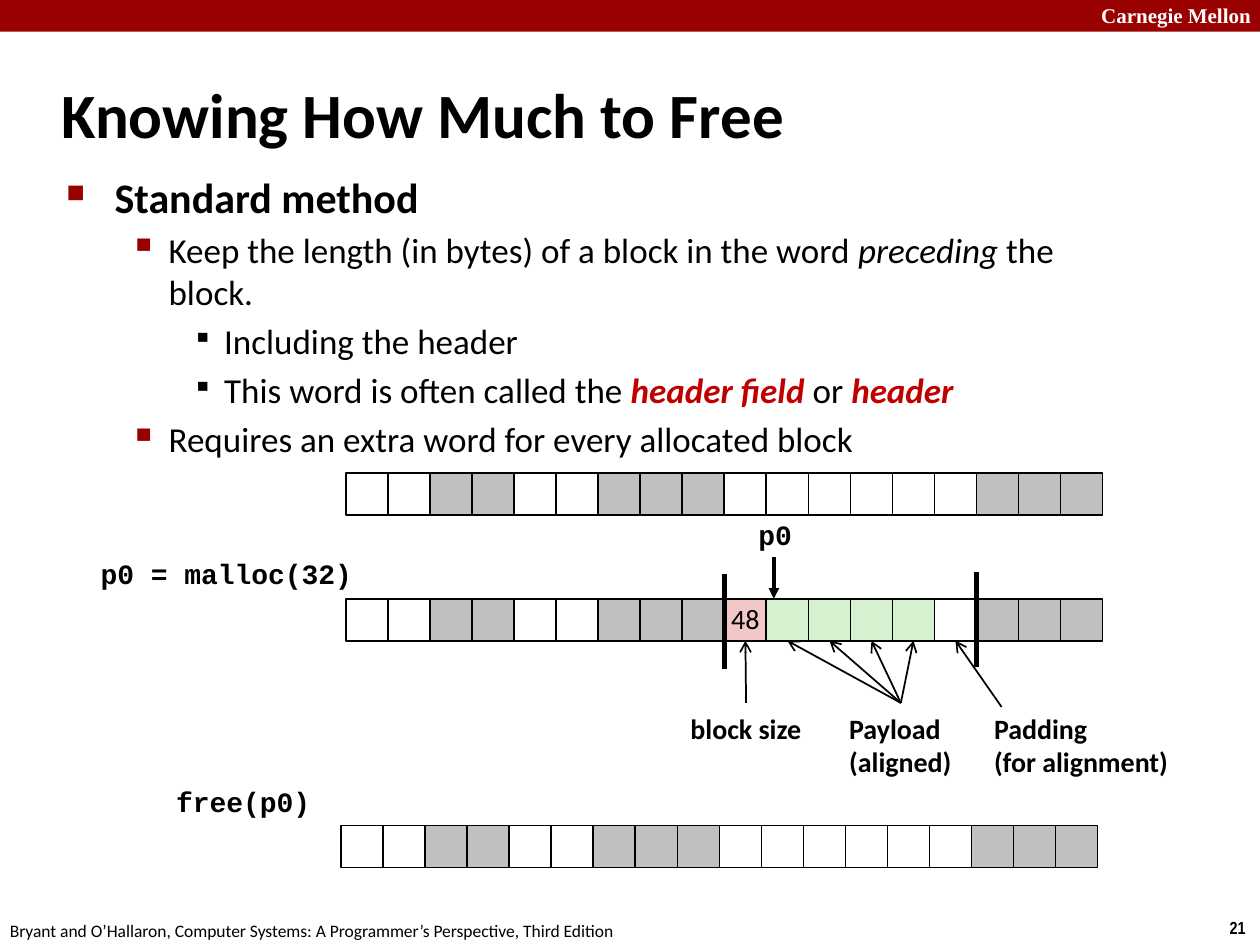
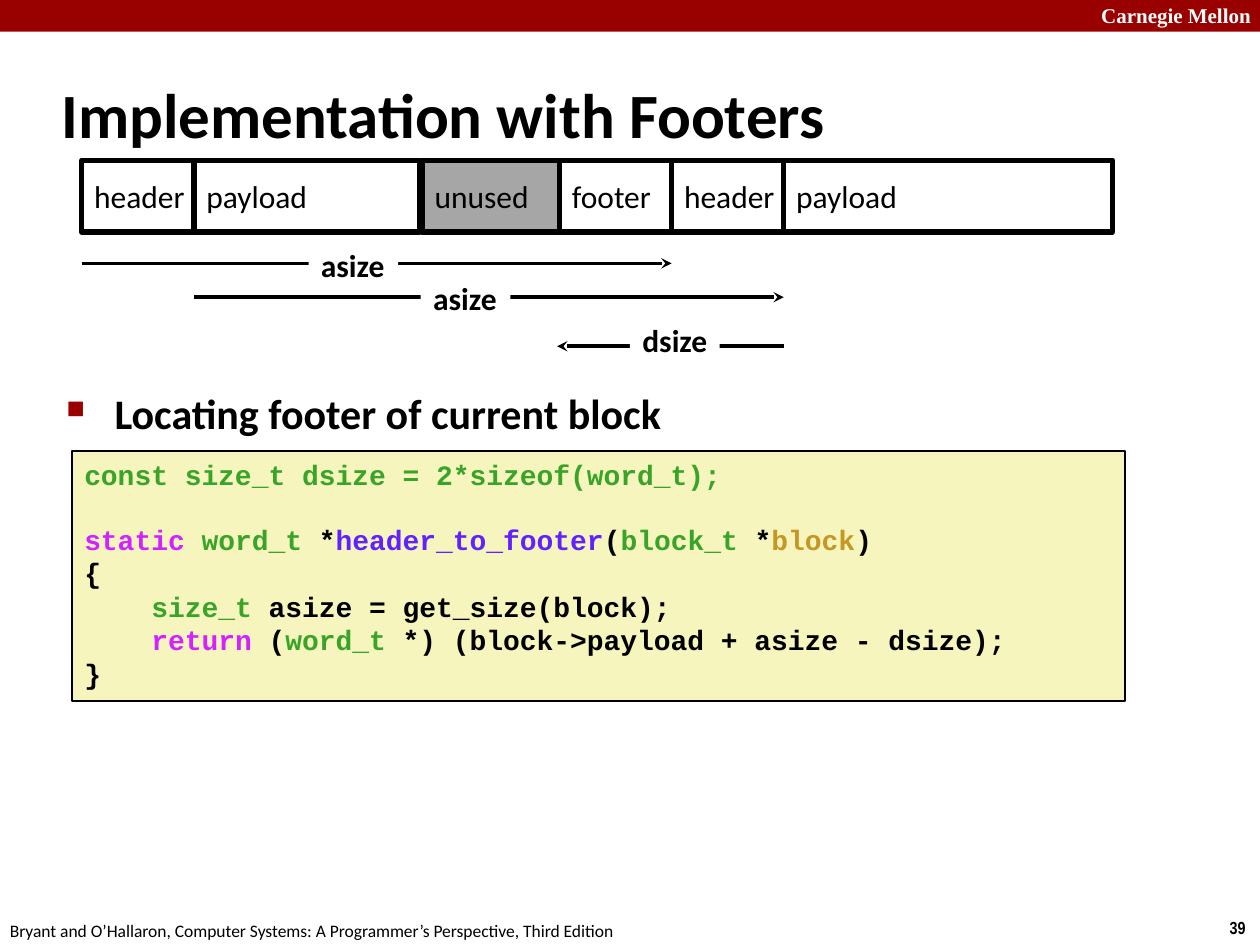
from lxml import etree
from pptx import Presentation
from pptx.dml.color import RGBColor
from pptx.enum.shapes import MSO_CONNECTOR, MSO_SHAPE
from pptx.enum.text import MSO_ANCHOR, PP_ALIGN
from pptx.oxml.ns import qn
from pptx.util import Cm, Pt

STRAIGHT = MSO_CONNECTOR.STRAIGHT
RECTANGLE = MSO_SHAPE.RECTANGLE
TOP, MIDDLE = MSO_ANCHOR.TOP, MSO_ANCHOR.MIDDLE
LEFT, CENTER = PP_ALIGN.LEFT, PP_ALIGN.CENTER

BLACK = RGBColor(0x00, 0x00, 0x00)
WHITE = RGBColor(0xFF, 0xFF, 0xFF)
DARK_RED = RGBColor(0x99, 0x00, 0x00)
TERM_RED = RGBColor(0xC0, 0x00, 0x00)
CELL_GREY = RGBColor(0xC0, 0xC0, 0xC0)
UNUSED_GREY = RGBColor(0xA6, 0xA6, 0xA6)
HEADER_PINK = RGBColor(0xF1, 0xC7, 0xC7)
PAYLOAD_GREEN = RGBColor(0xD5, 0xF1, 0xCF)
CODE_YELLOW = RGBColor(0xF6, 0xF5, 0xBD)
TYPE_GREEN = RGBColor(0x39, 0xA4, 0x28)
KEYWORD_MAGENTA = RGBColor(0xD4, 0x22, 0xFF)
FUNCTION_BLUE = RGBColor(0x61, 0x22, 0xFF)
VARIABLE_GOLD = RGBColor(0xC7, 0x97, 0x25)

SANS, MONO, SERIF, NARROW = "Calibri", "Courier New", "Times New Roman", "Arial Narrow"

# ---- Content: all lengths in centimetres ----
BRAND = "Carnegie Mellon"
SOURCE = "Bryant and O’Hallaron, Computer Systems: A Programmer’s Perspective, Third Edition"

# Run styles: what a run changes in its paragraph
RUN_STYLES = {
    "emphasis": {"italic": True},
    "term": {"italic": True, "bold": True, "color": TERM_RED},
    "type": {"color": TYPE_GREEN},
    "keyword": {"color": KEYWORD_MAGENTA},
    "function": {"color": FUNCTION_BLUE},
    "variable": {"color": VARIABLE_GOLD},
}

# Bullet levels: margin, hanging, character, percent, colour, size, bold
LEVELS = [
    (0.97, 0.97, "■", 60, DARK_RED, 24, True),
    (2.06, 0.79, "▪", 110, DARK_RED, 20, False),
    (3.18, 0.64, "▪", 80, BLACK, 20, False),
]

METHOD_BULLETS = [
    (0, ["Standard method"]),
    (1, ["Keep the length (in bytes) of a block in the word ",
         ("preceding", "emphasis"), " the block."]),
    (2, ["Including the header"]),
    (2, ["This word is often called the ", ("header field ", "term"),
         "or ", ("header", "term")]),
    (1, ["Requires an extra word for every allocated block"]),
]
FOOTER_BULLETS = [(0, ["Locating footer of current block"])]

# Heap rows: left, top, one letter a word
CELL = 0.847
CELL_FILLS = {".": WHITE, "#": CELL_GREY, "H": HEADER_PINK, "P": PAYLOAD_GREEN}
HEAP_LEFT, MALLOC_TOP = 6.98, 12.07
FREE_HEAP = "..##..###......###"
MALLOC_HEAP = "..##..###HPPPP.###"
HEAP_ROWS = [
    (HEAP_LEFT, 9.53, FREE_HEAP),
    (HEAP_LEFT, MALLOC_TOP, MALLOC_HEAP),
    (6.88, 16.64, FREE_HEAP),
]
HEADER_CELL = MALLOC_HEAP.index("H")
PADDING_CELL = MALLOC_HEAP.rindex(".")

# Labels: left, top, width, height, font, line spacing, lines
HEAP_LABELS = [
    (1.78, 11.15, 5.64, 0.91, MONO, 0.94, ["p0 = malloc(32)"]),
    (15.04, 10.36, 1.19, 0.89, MONO, 0.94, ["p0"]),
    (3.3, 15.75, 3.25, 0.91, MONO, 0.94, ["free(p0)"]),
    (13.67, 14.25, 2.77, 0.94, SANS, 0.98, ["block size"]),
    (16.87, 14.25, 2.59, 1.6, SANS, 0.98, ["Payload", "(aligned)"]),
    (19.79, 14.25, 4.06, 1.6, SANS, 0.98, ["Padding", "(for alignment)"]),
]
# Annotation arrows: start point, cells pointed at
CELL_ARROWS = [
    ((15.04, 14.17), [HEADER_CELL]),
    ((18.16, 14.17), range(HEADER_CELL + 1, PADDING_CELL)),
    ((20.19, 14.25), [PADDING_CELL]),
]

# Block layout: name, left edge, width, fill
FIELD_TOP, FIELD_HEIGHT = 3.23, 1.45
FIELDS = [
    ("header", 1.65, 2.26, None),
    ("payload", 3.91, 4.55, None),
    ("header", 13.54, 2.26, None),
    ("payload", 15.8, 6.63, None),
    ("unused", 8.51, 2.77, UNUSED_GREY),
    ("footer", 11.28, 2.26, None),
]
# Size arrows: name, from x, to x, y, label left, label top
SIZE_ARROWS = [
    ("asize", 3.91, 15.8, 5.99, 8.48, 5.51),
    ("dsize", 15.8, 11.23, 6.98, 12.7, 6.35),
    ("asize", 1.65, 13.54, 5.31, 6.22, 4.83),
]

# Code lines: space before in points, runs
CODE = [
    (0, [("const size_t dsize = 2*sizeof(word_t);", "type")]),
    (18, [("static ", "keyword"), ("word_t", "type"), " *",
          ("header_to_footer", "function"), "(", ("block_t", "type"), " *",
          ("block", "variable"), ")"]),
    (0, ["{"]),
    (0, ["    ", ("size_t ", "type"), "asize = get_size(block);"]),
    (0, ["    ", ("return", "keyword"), " (", ("word_t", "type"),
         " *) (block->payload + asize - dsize);"]),
    (0, ["}"]),
]


# ---- Helpers ----
def style_font(font, name=None, size=None, bold=None, italic=None, color=None):
    if name:
        font.name = name
    if size:
        font.size = Pt(size)
    if bold is not None:
        font.bold = bold
    if italic is not None:
        font.italic = italic
    if color is not None:
        font.color.rgb = color


def add_bullet(paragraph, margin, hanging, character, percent, color):
    properties = paragraph._p.get_or_add_pPr()
    properties.set("marL", str(Cm(margin)))
    properties.set("indent", str(-Cm(hanging)))
    bullet_color = etree.SubElement(properties, qn("a:buClr"))
    etree.SubElement(bullet_color, qn("a:srgbClr"), val=str(color))
    etree.SubElement(properties, qn("a:buSzPct"), val=str(percent * 1000))
    etree.SubElement(properties, qn("a:buChar"), char=character)


def fill_paragraph(paragraph, runs, **font):
    style_font(paragraph.font, **{"name": SANS, "color": BLACK, **font})
    for item in runs:
        text, style = (item, None) if isinstance(item, str) else item
        run = paragraph.add_run()
        run.text = text
        if style:
            style_font(run.font, **RUN_STYLES[style])


def paragraphs_for(frame, items):
    """Pair each item with a paragraph of the frame."""
    for index, item in enumerate(items):
        yield frame.paragraphs[0] if index == 0 else frame.add_paragraph(), item


def write_lines(shape, lines, wrap=False, anchor=TOP, align=LEFT, spacing=None, **font):
    frame = shape.text_frame
    frame.word_wrap = wrap
    frame.vertical_anchor = anchor
    for paragraph, line in paragraphs_for(frame, lines):
        paragraph.alignment = align
        if spacing:
            paragraph.line_spacing = spacing
        fill_paragraph(paragraph, [line], **font)


def add_textbox(slide, box):
    return slide.shapes.add_textbox(*map(Cm, box))


def add_rectangle(slide, box, fill=None, line_width=None):
    shape = slide.shapes.add_shape(RECTANGLE, *map(Cm, box))
    shape.shadow.inherit = False
    if fill is None:
        shape.fill.background()
    else:
        shape.fill.solid()
        shape.fill.fore_color.rgb = fill
    if line_width is None:
        shape.line.fill.background()
    else:
        shape.line.color.rgb = BLACK
        shape.line.width = Pt(line_width)
    return shape


def add_line(slide, start, end, width, arrowhead=None):
    line = slide.shapes.add_connector(STRAIGHT, *map(Cm, (*start, *end)))
    line.line.color.rgb = BLACK
    line.line.width = Pt(width)
    if arrowhead:
        etree.SubElement(line.line._get_or_add_ln(), qn("a:tailEnd"), type=arrowhead)
    etree.SubElement(line._element.spPr, qn("a:effectLst"))


def add_bullets(slide, box, bullets):
    frame = add_textbox(slide, box).text_frame
    frame.word_wrap = True
    for paragraph, (level, runs) in paragraphs_for(frame, bullets):
        *bullet, size, bold = LEVELS[level]
        add_bullet(paragraph, *bullet)
        if level:
            paragraph.space_before = Pt(4)
        fill_paragraph(paragraph, runs, size=size, bold=bold)


def add_base_slide(presentation, title, number):
    slide = presentation.slides.add_slide(presentation.slide_layouts[6])
    add_rectangle(slide, (0, 0, 25.4, 0.64), DARK_RED)
    write_lines(add_textbox(slide, (21.95, -0.08, 3.63, 0.76)), [BRAND], wrap=True,
                name=SERIF, size=12, bold=True, color=WHITE)
    write_lines(add_textbox(slide, (24.54, 18.36, 0.86, 0.69)), [number],
                name=NARROW, size=10, bold=True)
    write_lines(add_textbox(slide, (-0.05, 18.42, 12.9, 0.69)), [SOURCE], size=10)
    write_lines(add_textbox(slide, (0.99, 1.22, 21.08, 2.11)), [title], wrap=True,
                anchor=MIDDLE, size=36, bold=True)
    return slide


# ---- Slides ----
def build_free_slide(presentation):
    slide = add_base_slide(presentation, "Knowing How Much to Free", "21")
    add_bullets(slide, (1.09, 3.33, 21.95, 14.27), METHOD_BULLETS)

    # Heap rows
    for left, top, words in HEAP_ROWS:
        for index, word in enumerate(words):
            cell = add_rectangle(slide, (left + index * CELL, top, CELL, CELL),
                                 CELL_FILLS[word], 1)
            if word == "H":
                write_lines(cell, ["48"], anchor=MIDDLE, align=CENTER,
                            spacing=0.98, size=16)

    # Labels
    for *box, font_name, spacing, lines in HEAP_LABELS:
        write_lines(add_textbox(slide, box), lines, spacing=spacing,
                    name=font_name, size=16, bold=True)

    # Block limits, pointer and annotation arrows
    for edge, top in ((HEADER_CELL, 11.58), (PADDING_CELL + 1, 11.53)):
        x = HEAP_LEFT + edge * CELL
        add_line(slide, (x, top), (x, top + 1.91), 3)
    add_line(slide, (15.6, 11.23), (15.6, MALLOC_TOP), 2, "triangle")
    for start, cells in CELL_ARROWS:
        for index in cells:
            tip = (HEAP_LEFT + (index + 0.5) * CELL, MALLOC_TOP + CELL)
            add_line(slide, start, tip, 1, "arrow")


def build_footer_slide(presentation):
    slide = add_base_slide(presentation, "Implementation with Footers", "39")
    add_bullets(slide, (1.09, 7.68, 21.95, 1.3), FOOTER_BULLETS)

    # Code
    code_box = add_rectangle(slide, (1.45, 9.09, 21.23, 5.05), CODE_YELLOW, 1)
    frame = code_box.text_frame
    frame.word_wrap = True
    frame.vertical_anchor = TOP
    for paragraph, (space_before, runs) in paragraphs_for(frame, CODE):
        paragraph.alignment = LEFT
        if space_before:
            paragraph.space_before = Pt(space_before)
        fill_paragraph(paragraph, runs, name=MONO, size=16, bold=True)

    # Block layout
    for name, left, width, fill in FIELDS:
        field = add_rectangle(slide, (left, FIELD_TOP, width, FIELD_HEIGHT), fill, 3)
        write_lines(field, [name], anchor=MIDDLE, size=18)

    # Size arrows
    for name, start, end, y, label_left, label_top in SIZE_ARROWS:
        add_line(slide, (start, y), (end, y), 2, "stealth")
        label = add_rectangle(slide, (label_left, label_top, 1.81, 1.02), WHITE)
        write_lines(label, [name], size=18, bold=True)


def main():
    presentation = Presentation()
    presentation.slide_width, presentation.slide_height = Cm(25.4), Cm(19.05)
    build_free_slide(presentation)
    build_footer_slide(presentation)
    presentation.save("out.pptx")


if __name__ == "__main__":
    main()
